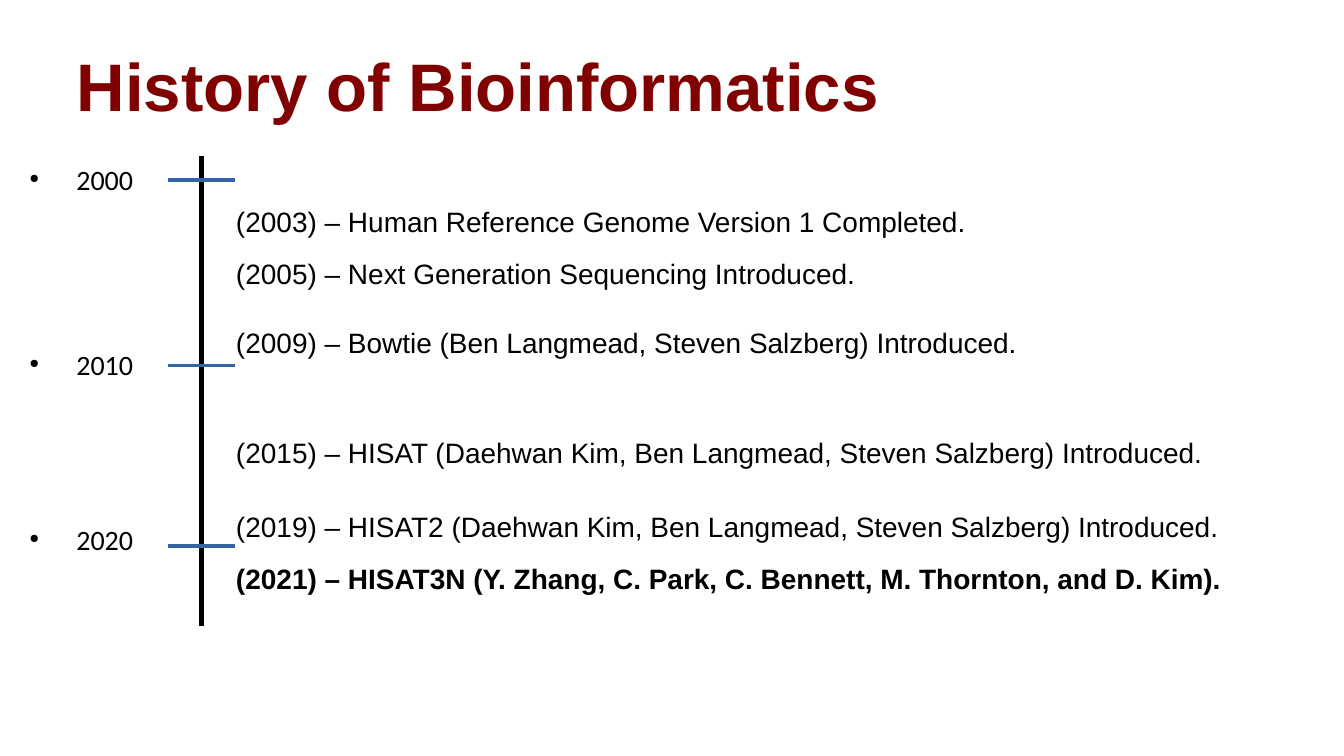
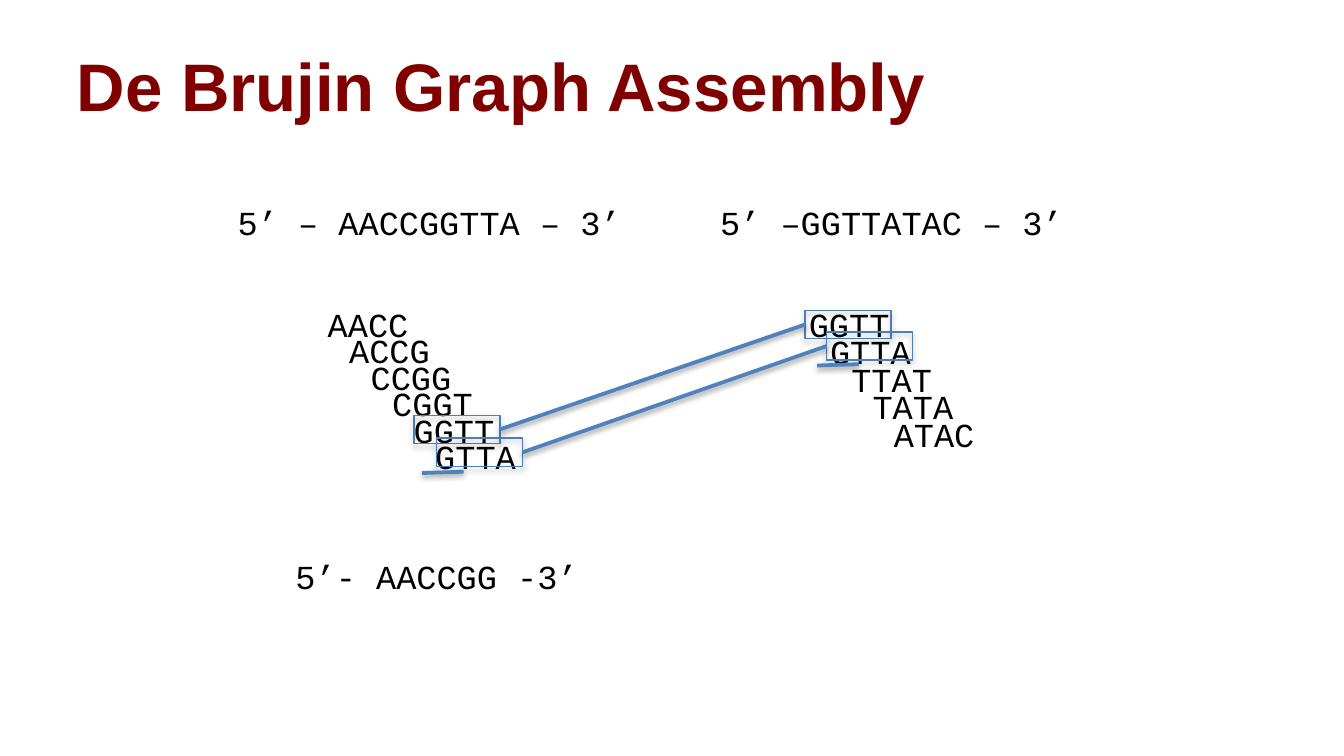
from lxml import etree
from pptx import Presentation
from pptx.dml.color import RGBColor
from pptx.enum.shapes import MSO_CONNECTOR as Connector, MSO_SHAPE as Preset
from pptx.enum.text import MSO_ANCHOR as Anchor
from pptx.oxml.ns import qn
from pptx.util import Inches, Pt

COLORS = {
    "title": "800000",
    "text": "000000",
    "tick": "3465A4",
    "frame": "4B7EBC",
    "link": "4F81BD",
    "shadow": "000000",
}
COLUMNS, ROWS = 100, 56.25
CELL = 0.1
BLANK = 6
INSET = (1, 0.5, 1, 0.5)
RIGHT, LEFT = 3, 1

DECADES = [("2000", 11.6, 13.4), ("2010", 25.4, 27.2), ("2020", 38.4, 40.6)]
EVENTS = [
    (14.7, "(2003) – Human Reference Genome Version 1 Completed.", False),
    (18.6, "(2005) – Next Generation Sequencing Introduced.", False),
    (23.7, "(2009) – Bowtie (Ben Langmead, Steven Salzberg) Introduced.", False),
    (31.9, "(2015) – HISAT (Daehwan Kim, Ben Langmead, Steven Salzberg) Introduced.", False),
    (37.4, "(2019) – HISAT2 (Daehwan Kim, Ben Langmead, Steven Salzberg) Introduced.", False),
    (41.3, "(2021) – HISAT3N (Y. Zhang, C. Park, C. Bennett, M. Thornton, and D. Kim).", True),
]
SEQUENCES = [
    (16.7, 14.5, 30.7, "5’ – AACCGGTTA – 3’"),
    (52.6, 14.5, 27.6, "5’ –GGTTATAC – 3’"),
    (21, 40.9, 23.1, "5’- AACCGG -3’"),
]
LEFT_KMERS = ["AACC", "ACCG", "CCGG", "CGGT", "GGTT", "GTTA"]
RIGHT_KMERS = ["GGTT", "GTTA", "TTAT", "TATA", "ATAC"]


def grid(*cells):
    return [Inches(cell * CELL) for cell in cells]


def color(name):
    return RGBColor.from_string(COLORS[name])


def add_text(slide, place, text, size, font, name="text", bold=False,
             inset=INSET, wrap=True, bullet=False):
    frame = slide.shapes.add_textbox(*grid(*place)).text_frame
    frame.word_wrap = wrap
    frame.vertical_anchor = Anchor.TOP
    (frame.margin_left, frame.margin_top,
     frame.margin_right, frame.margin_bottom) = grid(*inset)
    paragraph = frame.paragraphs[0]
    if bullet:
        add_bullet(paragraph)
    run = paragraph.add_run()
    run.text = text
    run.font.size = Pt(size)
    run.font.name = font
    run.font.bold = bold
    run.font.color.rgb = color(name)


def add_bullet(paragraph):
    properties = paragraph._p.get_or_add_pPr()
    hanging, = grid(3.5)
    indent, = grid(4.7)
    properties.set("marL", str(indent))
    properties.set("indent", str(-hanging))
    bullet_color = etree.SubElement(properties, qn("a:buClr"))
    etree.SubElement(bullet_color, qn("a:srgbClr"), val=COLORS["text"])
    etree.SubElement(properties, qn("a:buSzPct"), val="45000")
    etree.SubElement(properties, qn("a:buChar"), char="●")


def add_shadow(effects, opacity, distance):
    shadow = etree.SubElement(
        effects, qn("a:outerShdw"), blurRad=str(Pt(3.1)), dist=str(Pt(distance)),
        dir="5400000", rotWithShape="0")
    shade = etree.SubElement(shadow, qn("a:srgbClr"), val=COLORS["shadow"])
    etree.SubElement(shade, qn("a:alpha"), val=str(opacity * 1000))


def add_line(slide, start, end, name, width, shadow=False):
    line = slide.shapes.add_connector(Connector.STRAIGHT, *grid(*start, *end))
    line.line.color.rgb = color(name)
    line.line.width = Pt(width)
    effects = etree.SubElement(line._element.spPr, qn("a:effectLst"))
    if shadow:
        add_shadow(effects, 38, 1.6)
    return line


def add_frame(slide, left, top):
    shape = slide.shapes.add_shape(Preset.RECTANGLE, *grid(left, top, 6.4, 2.1))
    shape.fill.background()
    shape.line.color.rgb = color("frame")
    shape.line.width = Pt(0.75)
    shape.shadow.inherit = False
    add_shadow(shape._element.spPr.find(qn("a:effectLst")), 35, 1.8)
    return shape


def add_link(slide, first, second):
    link = add_line(slide, (0, 0), (1, 1), "link", 2, shadow=True)
    link.begin_connect(first, RIGHT)
    link.end_connect(second, LEFT)


def add_staircase(slide, kmers, left, top, across, down):
    for index, kmer in enumerate(kmers):
        place = (left + index * across, top + index * down, 8.4, 4)
        add_text(slide, place, kmer, 18, "Courier New")


def add_titled_slide(presentation, title):
    slide = presentation.slides.add_slide(presentation.slide_layouts[BLANK])
    add_text(slide, (5, 2.3, 90, 9.4), title, 36, "Arial", "title", True,
             inset=(0.7, 1, 0.7, 0.5))
    return slide


def build_history(presentation):
    slide = add_titled_slide(presentation, "History of Bioinformatics")
    add_line(slide, (15, 11.6), (15, 46.6), "text", 2.3)
    for year, label_top, tick in DECADES:
        add_text(slide, (0, label_top, 12.5, 3.4), year, 15, "Calibri", bullet=True)
        add_line(slide, (17.5, tick), (12.5, tick), "tick", 0)
    for top, event, bold in EVENTS:
        add_text(slide, (16, top, 81.5, 5.6), event, 15, "Arial", bold=bold,
                 inset=(1.56, 0.5, 1, 0.5))


def build_assembly(presentation):
    slide = add_titled_slide(presentation, "De Brujin Graph Assembly")
    for left, top, width, sequence in SEQUENCES:
        add_text(slide, (left, top, width, 4), sequence, 18, "Courier New", wrap=False)
    add_staircase(slide, LEFT_KMERS, 23.4, 22.1, 1.6, 1.97)
    add_staircase(slide, RIGHT_KMERS, 59.2, 22.1, 1.58, 2.05)
    pairs = []
    for index in range(2):
        first = add_frame(slide, 30.8 + index * 1.7, 30.9 + index * 1.7)
        second = add_frame(slide, 59.9 + index * 1.6, 23.1 + index * 1.6)
        pairs.append((first, second))
    for first, second in pairs:
        add_link(slide, first, second)
    for left, top in [(31.4, 35.2), (60.8, 27.2)]:
        add_line(slide, (left, top), (left + 3.1, top - 0.1), "link", 2, shadow=True)


def main():
    presentation = Presentation()
    presentation.slide_width, presentation.slide_height = grid(COLUMNS, ROWS)
    build_history(presentation)
    build_assembly(presentation)
    presentation.save("out.pptx")


if __name__ == "__main__":
    main()
